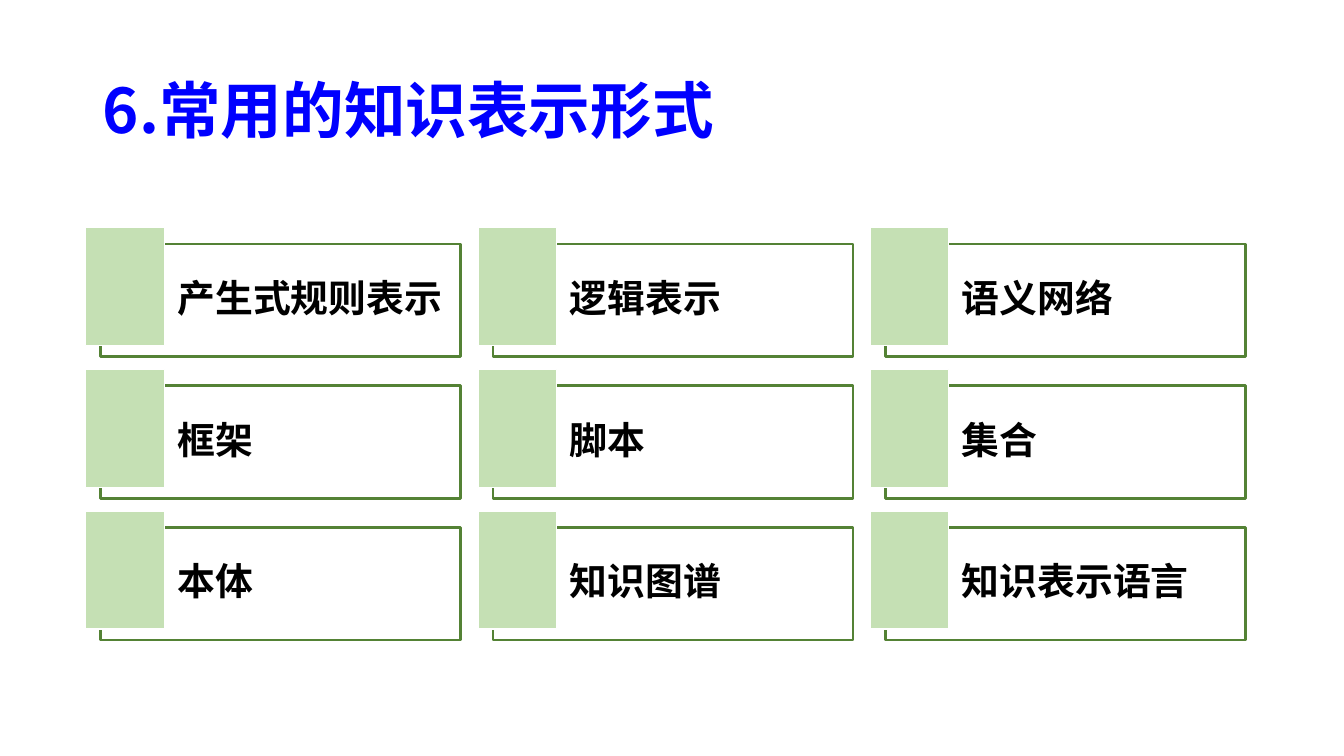
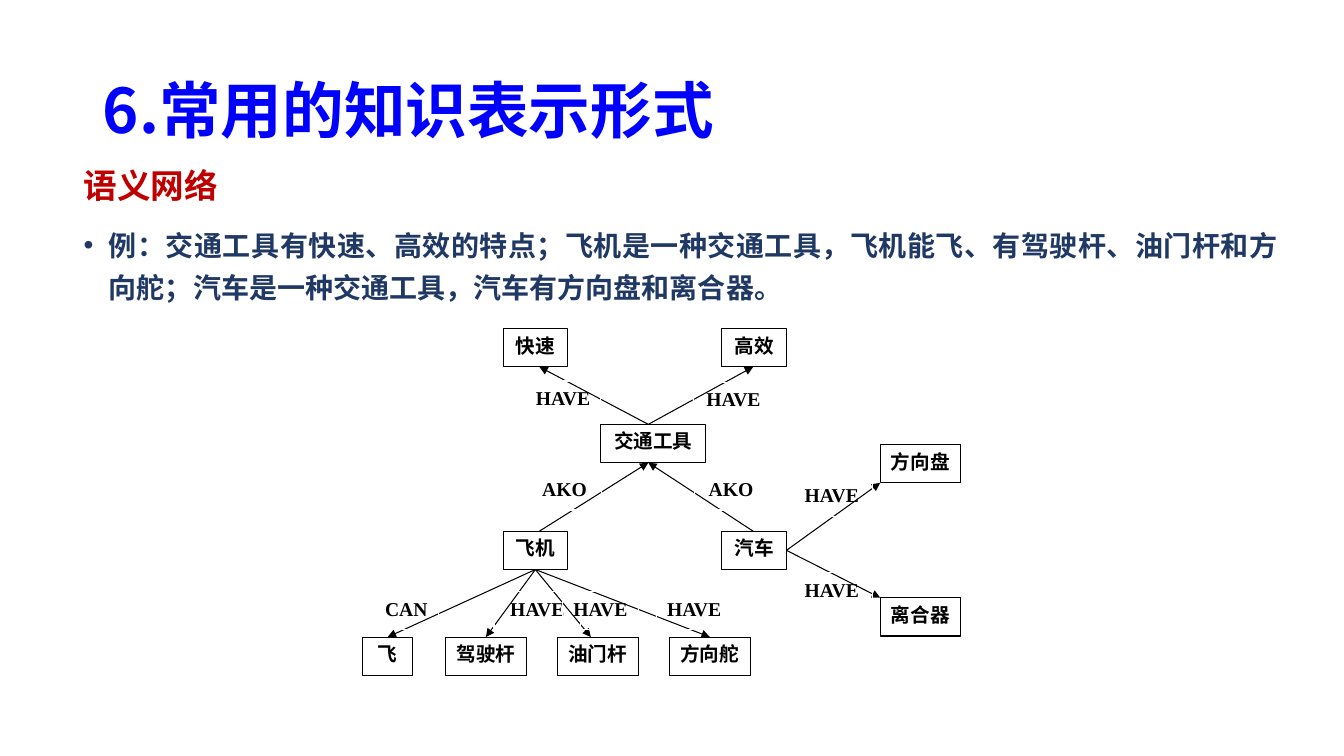
from lxml import etree
from pptx import Presentation
from pptx import util as u
from pptx.dml import color
from pptx.enum import shapes, text
from pptx.oxml import ns

SANS, SERIF = "Noto Sans CJK SC", "Times New Roman"
BLACK, WHITE, BLUE = "000000", "FFFFFF", "0000FF"
RED, NAVY, GREEN, PALE = "C00000", "203864", "548235", "C5E0B4"
TOP, LEFT, BASE, RIGHT = range(4)
ALIGN = text.PP_ALIGN
TITLE = "6.常用的知识表示形式"


def rgb(code):
    return color.RGBColor.from_string(code)


def add(node, tag, **attrs):
    return etree.SubElement(node, ns.qn(tag), attrs)


def write(para, words, size=14, face=SANS, ink=BLACK, align=ALIGN.LEFT,
          lead=None, before=0, hang=None, bullet=None):
    """Fill one paragraph with formatted text."""
    para.alignment = align
    para.space_before = u.Pt(before)
    if lead:
        para.line_spacing = lead
    if hang is not None:
        props = para._p.get_or_add_pPr()
        props.set("marL", str(u.Inches(hang)))
        props.set("indent", str(-u.Inches(hang)))
        if bullet:
            add(props, "a:buFont", typeface="Arial")
            add(props, "a:buChar", char=bullet)
        else:
            add(props, "a:buNone")
    run = para.add_run()
    run.text = words
    font = run.font
    font.size, font.bold, font.name = u.Pt(size), True, face
    font.color.rgb = rgb(ink)
    add(run._r.get_or_add_rPr(), "a:ea", typeface=SANS)


class Deck:
    def __init__(self):
        self.pres = Presentation()
        self.pres.slide_width = u.Inches(13.33)
        self.pres.slide_height = u.Inches(7.5)
        self.slide = None

    def page(self, title, layout):
        self.slide = self.pres.slides.add_slide(self.pres.slide_layouts[layout])
        frame = self.place(self.slide.shapes.title, 0.92, 0.4, 11.9, 1.45)
        frame.vertical_anchor = text.MSO_ANCHOR.MIDDLE
        write(frame.paragraphs[0], title, size=44, ink=BLUE, lead=0.9)

    def place(self, holder, x, y, w, h):
        holder.left, holder.top = u.Inches(x), u.Inches(y)
        holder.width, holder.height = u.Inches(w), u.Inches(h)
        frame = holder.text_frame
        frame.auto_size = text.MSO_AUTO_SIZE.NONE
        return frame

    def body(self, x, y, w, h, items):
        frame = self.place(self.slide.placeholders[1], x, y, w, h)
        for i, (words, style) in enumerate(items):
            para = frame.add_paragraph() if i else frame.paragraphs[0]
            write(para, words, align=ALIGN.JUSTIFY, **style)

    def rect(self, x, y, w, h, fill=None, line=BLACK, width=0.75, alpha=None):
        box = self.slide.shapes.add_shape(
            shapes.MSO_SHAPE.RECTANGLE, *map(u.Inches, (x, y, w, h)))
        box.shadow.inherit = False
        if fill:
            box.fill.solid()
            box.fill.fore_color.rgb = rgb(fill)
        else:
            box.fill.background()
        if alpha:
            tint = box._element.spPr.find(".//" + ns.qn("a:srgbClr"))
            add(tint, "a:alpha", val=str(alpha * 1000))
        box.line.color.rgb = rgb(line)
        box.line.width = u.Pt(width)
        return box

    def card(self, x, y, words):
        box = self.rect(x, y, 3.57, 1.12, WHITE, GREEN, 2, alpha=40)
        frame = box.text_frame
        frame.word_wrap = True
        frame.vertical_anchor = text.MSO_ANCHOR.MIDDLE
        frame.margin_left = u.Inches(0.76)
        frame.margin_right = u.Inches(0.11)
        write(frame.paragraphs[0], words, size=27, lead=0.9)
        self.rect(x - 0.15, y - 0.16, 0.78, 1.17, PALE, WHITE, 1)

    def node(self, x, y, w, words, face=SERIF, fill=WHITE, line=BLACK):
        box = self.rect(x, y, w, 0.38, fill, line)
        frame = box.text_frame
        frame.word_wrap = False
        frame.vertical_anchor = text.MSO_ANCHOR.TOP
        write(frame.paragraphs[0], words, face=face, align=ALIGN.CENTER)
        return box

    def label(self, x, y, w, words):
        self.node(x, y, w, words, fill=None, line=WHITE)

    def arrow(self, start, end):
        """Each end is a point (x, y) or a joint (box, side)."""
        link = self.slide.shapes.add_connector(
            shapes.MSO_CONNECTOR.STRAIGHT, 0, 0, 0, 0)
        if isinstance(start[0], float):
            link.begin_x, link.begin_y = map(u.Inches, start)
        else:
            link.begin_connect(*start)
        if isinstance(end[0], float):
            link.end_x, link.end_y = map(u.Inches, end)
        else:
            link.end_connect(*end)
        link.line.color.rgb = rgb(BLACK)
        link.line.width = u.Pt(0.75)
        add(link.line._get_or_add_ln(), "a:tailEnd", type="triangle")
        add(link._element.spPr, "a:effectLst")


def forms(deck):
    deck.page(TITLE, 5)
    names = ["产生式规则表示", "逻辑表示", "语义网络", "框架", "脚本", "集合",
             "本体", "知识图谱", "知识表示语言"]
    for i, name in enumerate(names):
        row, col = divmod(i, 3)
        deck.card(1 + 3.89 * col, 2.42 + 1.405 * row, name)


def network(deck):
    deck.page(TITLE, 1)
    deck.body(0.73, 1.49, 12.04, 5.75, [
        ("语义网络", dict(size=24, ink=RED, lead=1.25, hang=0)),
        ("例：交通工具有快速、高效的特点；飞机是一种交通工具，飞机能飞、有驾驶杆、"
         "油门杆和方向舵；汽车是一种交通工具，汽车有方向盘和离合器。",
         dict(size=20, ink=NAVY, lead=1.25, before=10, hang=0.25, bullet="•")),
    ])

    # Vehicle and its traits
    deck.node(5.96, 4.21, 1.04, "交通工具", face=SANS)
    deck.node(4.99, 3.26, 0.64, "快速")
    deck.node(7.16, 3.26, 0.64, "高效")
    for x in (5.35, 7.47):
        deck.arrow((6.43, 4.21), (x, 3.64))
    deck.label(5.21, 3.78, 0.75, "HAVE")
    deck.label(6.88, 3.79, 0.79, "HAVE")

    # Kinds of vehicle
    plane = deck.node(4.99, 5.27, 0.64, "飞机")
    car = deck.node(7.16, 5.27, 0.64, "汽车")
    for x in (5.35, 7.47):
        deck.arrow((x, 5.27), (6.43, 4.59))
    deck.label(5.23, 4.68, 0.74, "AKO")
    deck.label(6.89, 4.68, 0.72, "AKO")

    # Plane parts
    fly = deck.node(3.6, 6.32, 0.49, "飞")
    stick, lever, helm = [deck.node(4.42 + 1.11 * i, 6.32, 0.8, name)
                          for i, name in enumerate(["驾驶杆", "油门杆", "方向舵"])]
    for end in ((fly, TOP), (stick, TOP), (5.86, 6.32), (helm, TOP)):
        deck.arrow((plane, BASE), end)
    for x, w, words in [(3.71, 0.64, "CAN"), (4.9, 0.86, "HAVE"),
                        (5.58, 0.75, "HAVE"), (6.51, 0.75, "HAVE")]:
        deck.label(x, 5.87, w, words)

    # Car parts
    deck.node(8.73, 4.41, 0.8, "方向盘")
    deck.node(8.73, 5.93, 0.8, "离合器")
    for y in (4.79, 5.93):
        deck.arrow((car, RIGHT), (8.73, y))
    for y in (5.68, 4.74):
        deck.label(7.85, y, 0.8, "HAVE")


def main():
    deck = Deck()
    forms(deck)
    network(deck)
    deck.pres.save("out.pptx")


if __name__ == "__main__":
    main()
